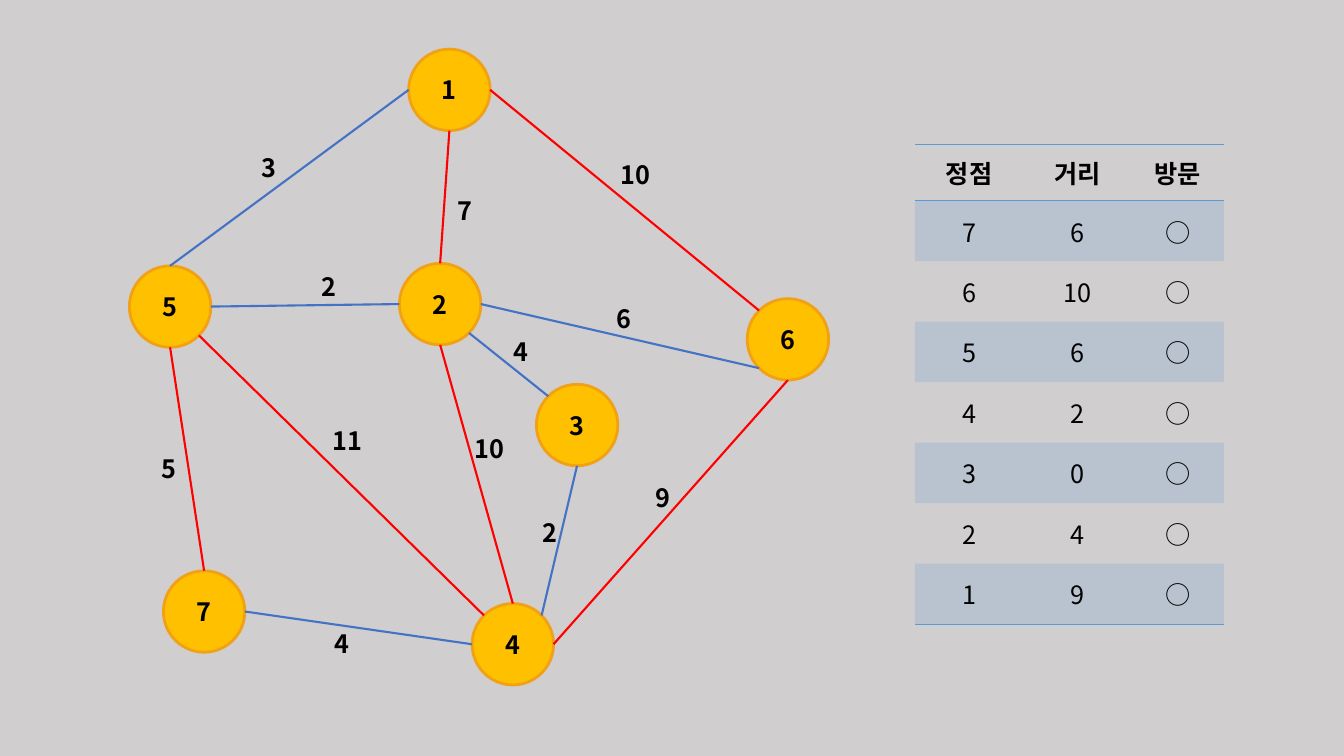
from math import cos, radians, sin

from lxml.etree import SubElement
from pptx import Presentation
from pptx.dml.color import RGBColor
from pptx.enum.shapes import MSO_CONNECTOR, MSO_SHAPE
from pptx.enum.text import MSO_ANCHOR, MSO_AUTO_SIZE, PP_ALIGN
from pptx.oxml.ns import qn
from pptx.util import Inches, Pt

COLUMNS, ROWS = 160, 90
RED, BLUE, TABLE_BLUE = "FF0000", "4472C4", "5B9BD5"
TOP, RIGHT, BOTTOM, LEFT = 270, 0, 90, 180
TOP_RIGHT, BOTTOM_RIGHT, BOTTOM_LEFT, TOP_LEFT = 315, 45, 135, 225
NO_STYLE = "{2D5ABB26-0587-4C30-8999-92F81FD0307C}"

NODES = {
    "1": (53.5, 10.7),
    "6": (93.8, 40.4),
    "5": (20.25, 36.5),
    "4": (61.05, 76.7),
    "7": (24.3, 72.8),
    "3": (68.7, 50.6),
    "2": (52.4, 36.2),
}
EDGES = [
    ("1", RIGHT, "6", TOP_LEFT, RED),
    ("5", TOP, "1", LEFT, BLUE),
    ("2", RIGHT, "6", BOTTOM_LEFT, BLUE),
    ("3", BOTTOM, "4", TOP_RIGHT, BLUE),
    ("4", RIGHT, "6", BOTTOM, RED),
    ("2", BOTTOM_RIGHT, "3", TOP_LEFT, BLUE),
    ("5", BOTTOM, "7", TOP, RED),
    ("1", BOTTOM, "2", TOP, RED),
    ("5", RIGHT, "2", LEFT, BLUE),
    ("2", BOTTOM, "4", TOP, RED),
    ("7", RIGHT, "4", LEFT, BLUE),
    ("5", BOTTOM_RIGHT, "4", TOP_LEFT, RED),
]
WEIGHTS = [
    ("10", 72.7, 18.4),
    ("3", 29.9, 17.5),
    ("7", 53.3, 22.6),
    ("6", 72.2, 35.5),
    ("2", 37.1, 31.7),
    ("10", 55.3, 51),
    ("4", 60, 39.5),
    ("2", 63.4, 61),
    ("4", 38.6, 74.2),
    ("9", 76.9, 56.8),
    ("11", 38.4, 50),
    ("5", 18.1, 53.4),
]
DISTANCES = [
    ("정점", "거리", "방문"),
    ("7", "6", "○"),
    ("6", "10", "○"),
    ("5", "6", "○"),
    ("4", "2", "○"),
    ("3", "0", "○"),
    ("2", "4", "○"),
    ("1", "9", "○"),
]


def rgb(color):
    return RGBColor.from_string(color)


class GraphSlide:
    """Draws graph elements on a slide, with lengths in grid columns and rows."""

    font, size, radius = "Noto Sans CJK KR", 18, 4.85

    def __init__(self, prs, background):
        self.unit_x = prs.slide_width / COLUMNS
        self.unit_y = prs.slide_height / ROWS
        self.slide = prs.slides.add_slide(prs.slide_layouts[6])
        self.shapes = self.slide.shapes
        fill = self.slide.background.fill
        fill.solid()
        fill.fore_color.rgb = rgb(background)

    def x(self, columns):
        return round(columns * self.unit_x)

    def y(self, rows):
        return round(rows * self.unit_y)

    def box(self, left, top, width, height):
        return self.x(left), self.y(top), self.x(width), self.y(height)

    def put_text(self, tf, text, bold=True, align=PP_ALIGN.CENTER):
        tf.text = text
        p = tf.paragraphs[0]
        p.alignment = align
        r = p.runs[0]
        r.font.size = Pt(self.size)
        r.font.bold = bold
        r.font.name = self.font
        r.font.color.rgb = rgb("000000")
        SubElement(r._r.get_or_add_rPr(), qn("a:ea"), typeface=self.font)

    def node(self, name, column, row):
        r = self.radius
        sp = self.shapes.add_shape(
            MSO_SHAPE.OVAL, *self.box(column - r, row - r, 2 * r, 2 * r))
        sp.shadow.inherit = False
        sp.fill.solid()
        sp.fill.fore_color.rgb = rgb("FFC000")
        sp.line.color.rgb = rgb("F1A116")
        sp.line.width = Pt(2)
        sp.text_frame.vertical_anchor = MSO_ANCHOR.MIDDLE
        self.put_text(sp.text_frame, name)

    def rim(self, name, angle):
        column, row = NODES[name]
        return (self.x(column + self.radius * cos(radians(angle))),
                self.y(row + self.radius * sin(radians(angle))))

    def edge(self, start, start_angle, end, end_angle, color):
        line = self.shapes.add_connector(
            MSO_CONNECTOR.STRAIGHT, *self.rim(start, start_angle), *self.rim(end, end_angle))
        line.line.color.rgb = rgb(color)
        line.line.width = Pt(1.5)
        SubElement(line._element.spPr, qn("a:effectLst"))

    def weight(self, text, column, row):
        sp = self.shapes.add_textbox(*self.box(column, row, 2.5 + 1.7 * len(text), 4.85))
        tf = sp.text_frame
        tf.word_wrap = False
        tf.auto_size = MSO_AUTO_SIZE.SHAPE_TO_FIT_TEXT
        self.put_text(tf, text, align=PP_ALIGN.LEFT)

    def border(self, cell, side):
        ln = SubElement(cell._tc.get_or_add_tcPr(), qn(f"a:{side}"), w=str(Pt(1)))
        fill = SubElement(ln, qn("a:solidFill"))
        SubElement(fill, qn("a:srgbClr"), val=TABLE_BLUE)

    def cell(self, cell, text, sides, header, banded):
        cell.vertical_anchor = MSO_ANCHOR.MIDDLE
        self.put_text(cell.text_frame, text, bold=header)
        for side in sides:
            self.border(cell, side)
        if banded:
            cell.fill.solid()
            cell.fill.fore_color.rgb = rgb(TABLE_BLUE)
            color = cell._tc.tcPr.find(f"{qn('a:solidFill')}/{qn('a:srgbClr')}")
            SubElement(color, qn("a:alpha"), val="20000")
        else:
            cell.fill.background()

    def table(self, left, top, widths, heights, rows):
        frame = self.shapes.add_table(
            len(rows), len(widths), *self.box(left, top, sum(widths), sum(heights)))
        table = frame.table
        table.first_row = table.horz_banding = False
        table._tbl.tblPr.find(qn("a:tableStyleId")).text = NO_STYLE
        for column, width in zip(table.columns, widths):
            column.width = self.x(width)
        for i, (height, texts) in enumerate(zip(heights, rows)):
            table.rows[i].height = self.y(height)
            sides = {0: ("lnT", "lnB"), len(rows) - 1: ("lnB",)}.get(i, ())
            for j, text in enumerate(texts):
                self.cell(table.cell(i, j), text, sides, header=i == 0, banded=i % 2 == 1)


def main():
    prs = Presentation()
    prs.slide_width, prs.slide_height = Inches(13.33), Inches(7.5)
    s = GraphSlide(prs, "D0CECE")
    s.table(108.9, 17.2, [12.95, 12.85, 11], [6.7] + [7.2] * 7, DISTANCES)
    for name, (column, row) in NODES.items():
        s.node(name, column, row)
    for edge in EDGES:
        s.edge(*edge)
    for weight in WEIGHTS:
        s.weight(*weight)
    prs.save("out.pptx")


if __name__ == "__main__":
    main()
